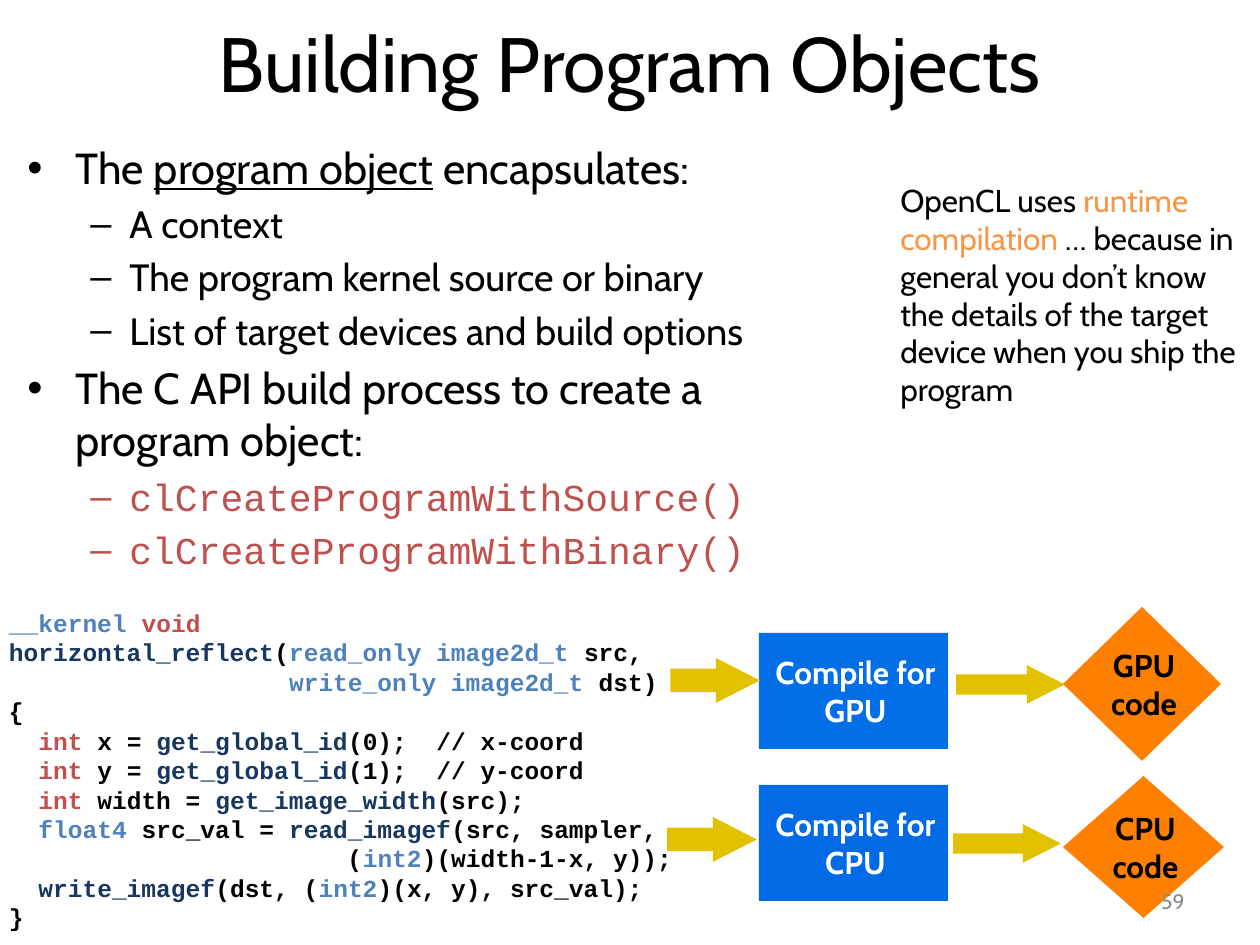
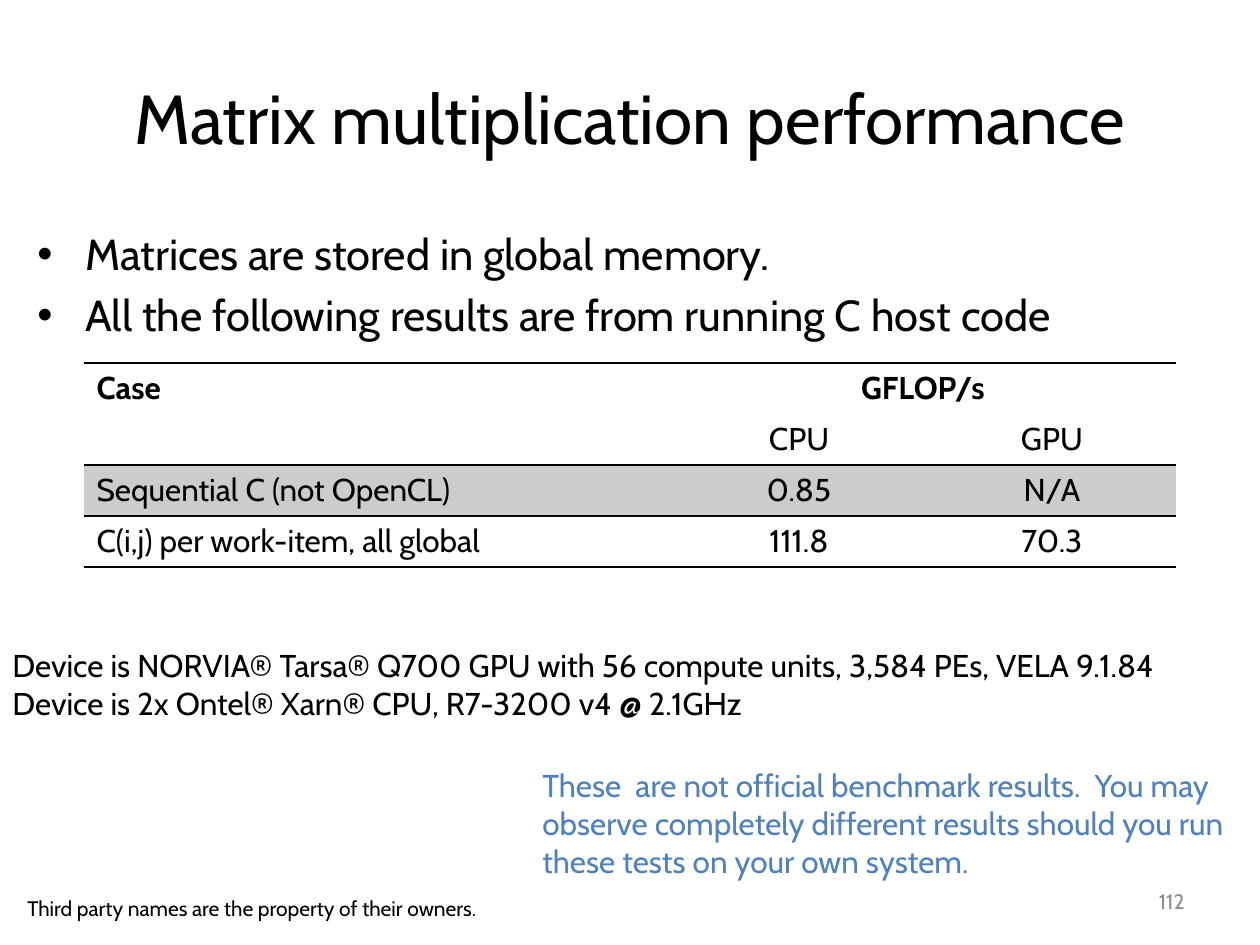
from collections import namedtuple
from dataclasses import dataclass

from lxml import etree
from pptx import Presentation
from pptx.dml.color import RGBColor
from pptx.enum.shapes import MSO_SHAPE as SHAPE
from pptx.enum.text import MSO_ANCHOR as ANCHOR, PP_ALIGN as ALIGN
from pptx.oxml.ns import qn
from pptx.util import Emu, Pt

EMU_PER_PX = 914400 / 126
NO_STYLE_TABLE = "{2D5ABB26-0587-4C30-8999-92F81FD0307C}"


@dataclass(frozen=True)
class Theme:
    font: str = "Cabin"
    mono: str = "Courier New"
    black: str = "000000"
    white: str = "FFFFFF"
    grey: str = "8C8C8C"
    band: str = "CCCCCC"
    blue: str = "4F81BD"
    navy: str = "17375E"
    red: str = "C0504D"
    amber: str = "F79646"
    gpu_box: str = "036FE6"
    cpu_box: str = "036AE6"
    arrow: str = "E2C200"
    diamond: str = "FF7F00"
    note: float = 18
    code: float = 14
    small: float = 12
    bullets: tuple = (24.8, 21.7)


T = Theme()
Style = namedtuple("Style", "size color font bold", defaults=(T.black, T.font, False))
Run = namedtuple("Run", "text color font underline", defaults=(None, None, False))
Bullet = namedtuple("Bullet", "level runs")
NOTE = Style(T.note)

# Bullet levels: mark, left margin px, hanging indent px
LEVELS = (("•", 48, 48), ("–", 102, 39))

SLIDE_NUMBER_BOX = (903, 876, 294, 50)


def px(n):
    return Emu(round(n * EMU_PER_PX))


def rgb(color):
    return RGBColor.from_string(color)


def add_runs(p, runs, style):
    for item in runs:
        run = Run(item) if isinstance(item, str) else item
        r = p.add_run()
        r.text = run.text
        f = r.font
        f.name = run.font or style.font
        f.size = Pt(style.size)
        f.bold = style.bold
        f.underline = run.underline
        f.color.rgb = rgb(run.color or style.color)


def set_indent(p, left, hanging=0):
    pPr = p._p.get_or_add_pPr()
    pPr.set("marL", str(px(left)))
    pPr.set("indent", str(-px(hanging)))
    return pPr


def paragraphs(tf, count):
    return [tf.paragraphs[0]] + [tf.add_paragraph() for _ in range(count - 1)]


def fill_frame(tf, lines, style, align=ALIGN.LEFT, anchor=ANCHOR.TOP, tight=False):
    """Write lines of runs; a tight frame has no insets and a 4 px indent."""
    tf.word_wrap = True
    tf.vertical_anchor = anchor
    if tight:
        tf.margin_left = tf.margin_right = tf.margin_top = tf.margin_bottom = 0
    for p, runs in zip(paragraphs(tf, len(lines)), lines):
        p.alignment = align
        if tight:
            set_indent(p, 4)
        add_runs(p, runs, style)


def add_text(slide, box, lines, style, **layout):
    s = slide.shapes.add_textbox(*map(px, box))
    fill_frame(s.text_frame, lines, style, **layout)


def add_title(slide, box, text, size):
    add_text(slide, box, [[text]], Style(size), align=ALIGN.CENTER, anchor=ANCHOR.MIDDLE)


def add_slide_number(slide, number):
    add_text(slide, SLIDE_NUMBER_BOX, [[str(number)]], Style(T.small, T.grey),
             align=ALIGN.RIGHT, anchor=ANCHOR.MIDDLE)


def add_bullets(slide, box, bullets):
    tf = slide.shapes.add_textbox(*map(px, box)).text_frame
    tf.word_wrap = True
    for i, (p, bullet) in enumerate(zip(paragraphs(tf, len(bullets)), bullets)):
        mark, left, hanging = LEVELS[bullet.level]
        size = T.bullets[bullet.level]
        p.level = bullet.level
        pPr = set_indent(p, left, hanging)
        etree.SubElement(pPr, qn("a:buFont"), typeface="Arial")
        etree.SubElement(pPr, qn("a:buChar"), char=mark)
        if i:
            p.space_before = Pt(round(size * 0.2, 1))
        add_runs(p, bullet.runs, Style(size))


def add_filled(slide, kind, box, fill):
    s = slide.shapes.add_shape(kind, *map(px, box))
    s.shadow.inherit = False
    s.fill.solid()
    s.fill.fore_color.rgb = rgb(fill)
    s.line.fill.background()
    return s


def add_label_shape(slide, kind, box, fill, lines, color):
    s = add_filled(slide, kind, box, fill)
    fill_frame(s.text_frame, lines, Style(T.note, color, bold=True),
               align=ALIGN.CENTER, anchor=ANCHOR.MIDDLE, tight=True)


def add_block_arrow(slide, box):
    s = add_filled(slide, SHAPE.RIGHT_ARROW, box, T.arrow)
    s.adjustments[0] = 0.51
    s.adjustments[1] = 0.98
    s.line.color.rgb = rgb(T.arrow)
    s.line.width = Pt(2)
    etree.SubElement(s._element.spPr.find(qn("a:ln")), qn("a:miter"), lim="800000")


def rule_cell(cell, sides):
    """Draw 1 pt black borders; sides are listed in schema order."""
    tcPr = cell._tc.get_or_add_tcPr()
    for i, side in enumerate(sides):
        ln = etree.Element(qn("a:" + side), w=str(Pt(1)))
        fill = etree.SubElement(ln, qn("a:solidFill"))
        etree.SubElement(fill, qn("a:srgbClr"), val=T.black)
        tcPr.insert(i, ln)


def add_results_table(slide, left, top, widths, row_height, rows):
    frame = slide.shapes.add_table(len(rows), len(widths), px(left), px(top),
                                   px(sum(widths)), px(row_height * len(rows)))
    table = frame.table
    table.first_row = table.horz_banding = False
    table._tbl.tblPr.find(qn("a:tableStyleId")).text = NO_STYLE_TABLE
    for column, width in zip(table.columns, widths):
        column.width = px(width)
    rules = {0: ["lnT"], 1: ["lnB"], 2: ["lnT", "lnB"], 3: ["lnT", "lnB"]}
    for i, values in enumerate(rows):
        table.rows[i].height = px(row_height)
        for j, value in enumerate(values):
            cell = table.cell(i, j)
            if i == 2:
                cell.fill.solid()
                cell.fill.fore_color.rgb = rgb(T.band)
            else:
                cell.fill.background()
            rule_cell(cell, rules[i])
            if value:
                p = cell.text_frame.paragraphs[0]
                p.alignment = ALIGN.CENTER if j else ALIGN.LEFT
                add_runs(p, [value], Style(T.note, bold=i == 0))
            if j:
                cell.vertical_anchor = ANCHOR.MIDDLE
    table.cell(0, 0).merge(table.cell(1, 0))
    table.cell(0, 1).merge(table.cell(0, 2))


def kernel_lines():
    def typ(text):
        return Run(text, T.blue)

    def key(text):
        return Run(text, T.red)

    def func(text):
        return Run(text, T.navy)

    return [
        [typ("__kernel "), key("void")],
        [func("horizontal_reflect"), "(", typ("read_only image2d_t "), "src,"],
        ["                   ", typ("write_only image2d_t "), "dst)"],
        ["{"],
        ["  ", key("int "), "x = ", func("get_global_id"), "(0);  // x-coord"],
        ["  ", key("int "), "y = ", func("get_global_id"), "(1);  // y-coord"],
        ["  ", key("int "), "width = ", func("get_image_width"), "(src);"],
        ["  ", typ("float4 "), "src_val = ", func("read_imagef"), "(src, sampler,"],
        ["                       (", typ("int2"), ")(width-1-x, y));"],
        ["  ", func("write_imagef"), "(dst, (", typ("int2"), ")(x, y), src_val);"],
        ["}"],
    ]


def build_program_objects(slide):
    add_text(slide, (5, 608, 694, 321), kernel_lines(),
             Style(T.code, font=T.mono, bold=True), tight=True)
    add_title(slide, (15, 8, 1230, 107), "Building Program Objects", 44)
    add_bullets(slide, (15, 135, 863, 446), [
        Bullet(0, ["The ", Run("program object", underline=True), " encapsulates:"]),
        Bullet(1, ["A context"]),
        Bullet(1, ["The program kernel source or binary"]),
        Bullet(1, ["List of target devices and build options"]),
        Bullet(0, ["The C API build process to create a program object:"]),
        Bullet(1, [Run("clCreateProgramWithSource()", T.red, T.mono)]),
        Bullet(1, [Run("clCreateProgramWithBinary()", T.red, T.mono)]),
    ])
    add_text(slide, (888, 175, 367, 280), [[
        "OpenCL uses ", Run("runtime compilation ", T.amber),
        "… because in general you don’t know the details of the target "
        "device when you ship the program"]], NOTE)

    targets = [
        ("GPU", T.gpu_box, (759, 633, 189, 116), (672, 661, 84, 39),
         (958, 668, 103, 33), (1063, 607, 158, 154)),
        ("CPU", T.cpu_box, (759, 785, 189, 116), (669, 820, 84, 39),
         (955, 827, 102, 33), (1063, 776, 161, 142)),
    ]
    for name, fill, compile_box, arrow_in, arrow_out, code_box in targets:
        add_label_shape(slide, SHAPE.RECTANGLE, compile_box, fill,
                        [[f"Compile for {name}"]], T.white)
        add_block_arrow(slide, arrow_in)
        add_block_arrow(slide, arrow_out)
        add_label_shape(slide, SHAPE.DIAMOND, code_box, T.diamond,
                        [[name], ["code"]], T.black)
    add_slide_number(slide, 59)


def build_performance(slide):
    add_title(slide, (63, 38, 1134, 158), "Matrix multiplication performance", 39.6)
    add_bullets(slide, (25, 221, 1211, 113), [
        Bullet(0, ["Matrices are stored in global memory."]),
        Bullet(0, ["All the following results are from running C host code"]),
    ])
    add_results_table(slide, 84, 363, (586, 258, 248), 51, [
        ("Case", "GFLOP/s", ""),
        ("", "CPU", "GPU"),
        ("Sequential C (not OpenCL)", "0.85", "N/A"),
        ("C(i,j) per work-item, all global", "111.8", "70.3"),
    ])
    add_text(slide, (0, 640, 1225, 89), [
        ["Device is NORVIA® Tarsa® Q700 GPU with 56 compute units, 3,584 PEs, VELA 9.1.84"],
        ["Device is 2x Ontel® Xarn® CPU, R7-3200 v4 @ 2.1GHz"],
    ], NOTE)
    add_text(slide, (15, 889, 670, 55),
             [["Third party names are the property of their owners."]], Style(T.small))
    add_text(slide, (530, 760, 719, 165), [[
        "These  are not official benchmark results.  You may observe completely "
        "different results should you run these tests on your own system."]],
        Style(T.note, T.blue))
    add_slide_number(slide, 112)


def main():
    prs = Presentation()
    prs.slide_width, prs.slide_height = px(1260), px(945)
    for build in (build_program_objects, build_performance):
        build(prs.slides.add_slide(prs.slide_layouts[6]))
    prs.save("out.pptx")


if __name__ == "__main__":
    main()
